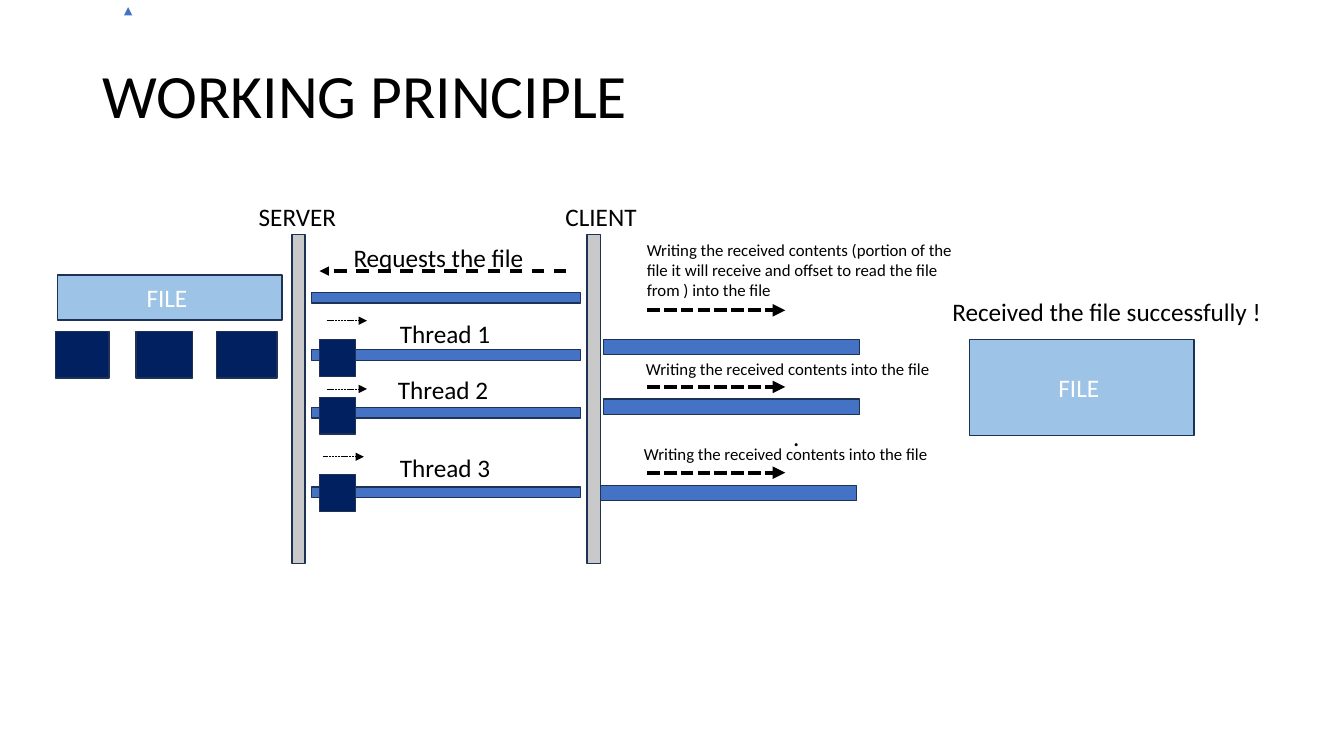
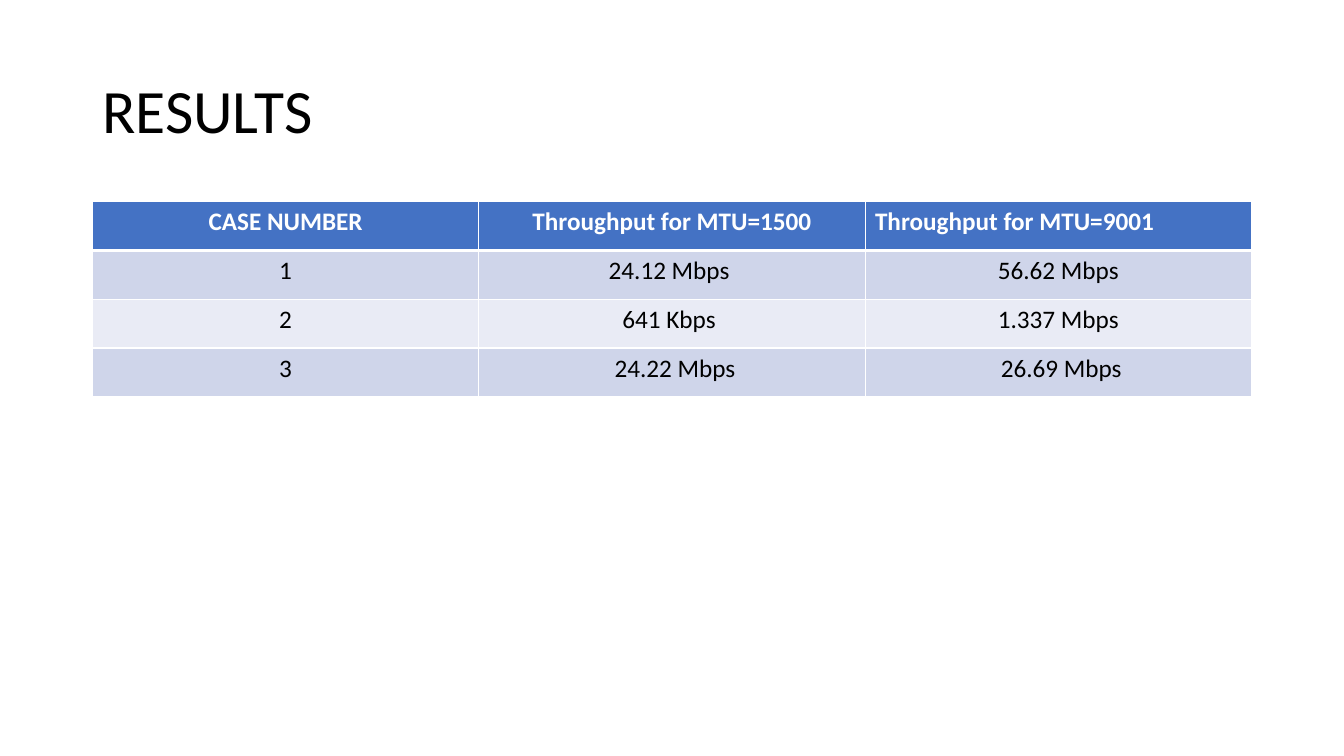
from lxml import etree
from pptx import Presentation
from pptx.dml.color import RGBColor
from pptx.enum.dml import MSO_LINE as DASH
from pptx.enum.shapes import MSO_CONNECTOR, MSO_SHAPE as SHAPE
from pptx.enum.text import MSO_ANCHOR as ANCHOR, PP_ALIGN as ALIGN
from pptx.oxml.ns import qn
from pptx.util import Cm, Pt

COLORS = {
    "black": "000000", "white": "FFFFFF", "blue": "4472C4", "navy": "002060",
    "sky": "9DC3E6", "grey": "C9C9C9", "outline": "1E3256",
    "band_dark": "CFD5EA", "band_light": "E9EBF5",
}
RGB = {name: RGBColor.from_string(value) for name, value in COLORS.items()}


def put_text(tf, text, size=18, color="black", bold=False, align=ALIGN.LEFT,
             anchor=ANCHOR.TOP, spacing=None):
    tf.word_wrap = True
    tf.vertical_anchor = anchor
    p = tf.paragraphs[0]
    p.alignment = align
    p.line_spacing = spacing
    r = p.add_run()
    r.text = text
    r.font.name = "Calibri"
    r.font.size = Pt(size)
    r.font.bold = bold
    r.font.color.rgb = RGB[color]


def draw_arrow(s, x1, y1, x2, y2, width, dash=None, color="black"):
    line = s.shapes.add_connector(MSO_CONNECTOR.STRAIGHT, Cm(x1), Cm(y1), Cm(x2), Cm(y2))
    line.line.color.rgb = RGB[color]
    line.line.width = Pt(width)
    if dash:
        line.line.dash_style = dash
    ln = line.line._get_or_add_ln()
    etree.SubElement(ln, qn("a:tailEnd"), type="triangle")
    etree.SubElement(ln.getparent(), qn("a:effectLst"))


prs = Presentation()
prs.slide_width, prs.slide_height = Cm(33.87), Cm(19.05)

slides = []
for title, top in [("WORKING PRINCIPLE", 0.64), ("RESULTS", 1.02)]:
    s = prs.slides.add_slide(prs.slide_layouts[6])
    box = s.shapes.add_textbox(Cm(2.33), Cm(top), Cm(29.21), Cm(3.68))
    put_text(box.text_frame, title, size=44, anchor=ANCHOR.MIDDLE, spacing=0.9)
    slides.append(s)
principle, results = slides

# Working principle: poles, bars and blocks, from back to front
shapes = [(SHAPE.MATH_MINUS, x, 9.35, 11.28, 1.42, "grey", 90, "") for x in (1.88, 9.32)]
shapes += [(SHAPE.RECTANGLE, x, 8.36, w, 1.17, "navy", 0, "")
           for x, w in [(1.4, 1.35), (3.43, 1.42), (5.46, 1.52)]]
shapes += [(SHAPE.MATH_MINUS, 6.63, y, 9.22, 1.14, "blue", 0, "")
           for y in (6.93, 8.38, 9.83, 11.84)]
shapes += [(SHAPE.RECTANGLE, 8.05, y, 0.91, 0.93, "navy", 0, "")
           for y in (8.56, 10.01, 11.96)]
shapes += [(SHAPE.RECTANGLE, x, y, 6.45, 0.38, "blue", 0, "")
           for x, y in [(15.21, 8.56), (15.21, 10.06), (15.14, 12.24)]]
shapes += [(SHAPE.RECTANGLE, x, y, 5.66, h, "sky", 0, "FILE ")
           for x, y, h in [(1.45, 6.93, 1.14), (24.43, 8.56, 2.41)]]
for preset, x, y, w, h, fill, rotation, text in shapes:
    sp = principle.shapes.add_shape(preset, Cm(x), Cm(y), Cm(w), Cm(h))
    sp.shadow.inherit = False
    sp.rotation = rotation
    sp.fill.solid()
    sp.fill.fore_color.rgb = RGB[fill]
    sp.line.color.rgb = RGB["outline"]
    sp.line.width = Pt(1)
    if text:
        put_text(sp.text_frame, text, color="white", align=ALIGN.CENTER, anchor=ANCHOR.MIDDLE)

draw_arrow(principle, 3.23, 0.2, 3.23, 0.18, 0.5, color="blue")
draw_arrow(principle, 14.27, 6.83, 8.05, 6.83, 2.25, DASH.DASH)
for x, y in [(8.23, 8.08), (8.23, 9.8), (8.15, 11.51)]:
    draw_arrow(principle, x, y, x + 1.02, y, 0.5, DASH.SQUARE_DOT)
for y in (7.82, 9.75, 11.91):
    draw_arrow(principle, 16.31, y, 19.79, y, 3, DASH.SQUARE_DOT)

WRITING = "Writing the received contents into the file"
WRITING_PORTION = ("Writing the received contents (portion of the file it will receive "
                   "and offset to read the file from ) into the file")
labels = [
    (6.27, 4.95, 3.58, 18, "SERVER"),
    (14, 4.95, 3.58, 18, "CLIENT"),
    (8.66, 5.97, 5.03, 18, "Requests the file"),
    (9.83, 7.9, 2.97, 18, "Thread 1"),
    (9.78, 9.3, 2.97, 18, "Thread 2"),
    (9.83, 11.28, 2.97, 18, "Thread 3"),
    (16.05, 5.92, 8.41, 12, WRITING_PORTION),
    (16.03, 8.92, 8.41, 12, WRITING),
    (15.98, 11.05, 8.41, 12, WRITING),
    (19.74, 10.49, 1, 18, "."),
    (23.75, 7.34, 9.5, 18, "Received the file successfully !"),
]
for x, y, w, size, text in labels:
    box = principle.shapes.add_textbox(Cm(x), Cm(y), Cm(w), Cm(size * 0.057))
    put_text(box.text_frame, text, size=size)

# Results: throughput table
rows = [
    ["CASE NUMBER", "Throughput for MTU=1500", "Throughput for MTU=9001"],
    ["1", "24.12 Mbps ", "56.62 Mbps"],
    ["2", "641 Kbps ", "1.337 Mbps"],
    ["3", "24.22 Mbps", "26.69 Mbps"],
]
left_margins = {(0, 2): 0.25, (3, 1): 3.42, (3, 2): 3.42}  # left-aligned cells
table = results.shapes.add_table(len(rows), 3, Cm(2.33), Cm(5.08), Cm(29.21), Cm(4.92)).table
for i, row in enumerate(rows):
    header = i == 0
    fill = "blue" if header else "band_dark" if i % 2 else "band_light"
    for j, text in enumerate(row):
        cell = table.cell(i, j)
        tcPr = cell._tc.get_or_add_tcPr()
        for side in "LRTB":
            thick = (i, side) in [(0, "B"), (1, "T")]
            ln = etree.SubElement(tcPr, qn(f"a:ln{side}"), w=str(Pt(3 if thick else 1)))
            line_fill = etree.SubElement(ln, qn("a:solidFill"))
            etree.SubElement(line_fill, qn("a:srgbClr"), val=COLORS["white"])
        cell.fill.solid()
        cell.fill.fore_color.rgb = RGB[fill]
        align = ALIGN.CENTER
        if (i, j) in left_margins:
            align = ALIGN.LEFT
            cell.margin_left = Cm(left_margins[i, j])
        put_text(cell.text_frame, text, color="white" if header else "black",
                 bold=header, align=align)

prs.save("out.pptx")
